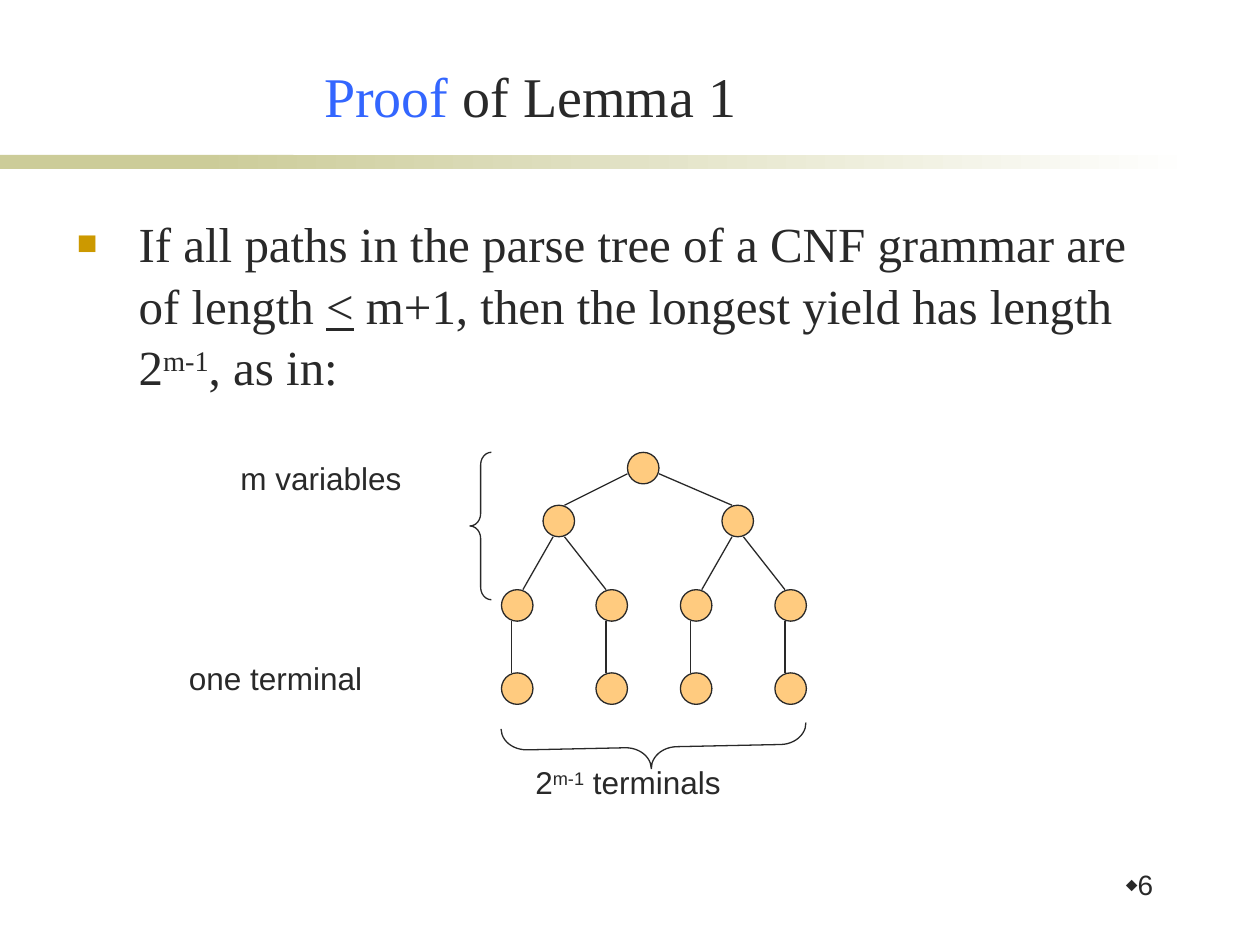
import pptx
import pptx.dml.color
import pptx.enum.dml
import pptx.enum.shapes
import pptx.enum.text
import pptx.oxml.ns
import pptx.util
from lxml import etree
from dataclasses import dataclass

Inches = pptx.util.Inches
Pt = pptx.util.Pt
SHAPES = pptx.enum.shapes.MSO_SHAPE
ALIGN = pptx.enum.text.PP_ALIGN
ANCHOR = pptx.enum.text.MSO_ANCHOR


@dataclass(frozen=True)
class Theme:
    ink: str = "292929"
    accent: str = "3366FF"
    band: str = "CCCC99"
    paper: str = "FFFFFF"
    bullet: str = "CC9900"
    node: str = "FF9900"
    node_opacity: int = 50
    serif: str = "Times New Roman"
    sans: str = "Arial"
    title_size: int = 32
    body_size: int = 28
    label_size: int = 18
    number_size: int = 16
    line_width: float = 0.75


def rgb(value):
    return pptx.dml.color.RGBColor.from_string(value)


def sub(parent, tag, **attributes):
    return etree.SubElement(parent, pptx.oxml.ns.qn(tag), attributes)


def write(paragraph, text, *, font, size, color, underline=None, superscript=False):
    run = paragraph.add_run()
    run.text = text
    run.font.name = font
    run.font.size = Pt(size)
    run.font.color.rgb = rgb(color)
    run.font.underline = underline
    if superscript:
        run.font._element.set("baseline", "30000")


def set_bullet(paragraph, char, color, percent, indent=0.0):
    """Give the paragraph a coloured bullet with a hanging indent in inches."""
    properties = paragraph._p.get_or_add_pPr()
    properties.set("marL", str(Inches(indent)))
    properties.set("indent", str(-Inches(indent)))
    sub(sub(properties, "a:buClr"), "a:srgbClr", val=color)
    sub(properties, "a:buSzPct", val=str(percent * 1000))
    sub(properties, "a:buFont", typeface="Arial")
    sub(properties, "a:buChar", char=char)


class SlideBuilder:
    def __init__(self, slide, theme):
        self.slide = slide
        self.theme = theme

    def place(self, placeholder, left, top, width, height, anchor):
        placeholder.left, placeholder.top = Inches(left), Inches(top)
        placeholder.width, placeholder.height = Inches(width), Inches(height)
        frame = placeholder.text_frame
        frame.auto_size = pptx.enum.text.MSO_AUTO_SIZE.NONE
        frame.word_wrap = True
        frame.vertical_anchor = anchor
        return frame.paragraphs[0]

    def title(self, *box):
        paragraph = self.place(self.slide.shapes.title, *box, ANCHOR.BOTTOM)
        paragraph.alignment = ALIGN.CENTER
        return paragraph

    def body(self, *box):
        paragraph = self.place(self.slide.placeholders[1], *box, ANCHOR.TOP)
        paragraph.space_before = Pt(0)
        paragraph.line_spacing = 1.05
        set_bullet(paragraph, "■", self.theme.bullet, 70, indent=0.49)
        return paragraph

    def text_box(self, *box):
        label = self.slide.shapes.add_textbox(*map(Inches, box))
        label.text_frame.word_wrap = True
        return label.text_frame.paragraphs[0]

    def shape(self, kind, *box):
        shape = self.slide.shapes.add_shape(kind, *map(Inches, box))
        shape.shadow.inherit = False
        return shape

    def outline(self, item):
        item.line.color.rgb = rgb(self.theme.ink)
        item.line.width = Pt(self.theme.line_width)

    def band(self, *box, fade_to=None):
        band = self.shape(SHAPES.RECTANGLE, *box)
        band.line.fill.background()
        if fade_to is None:
            band.fill.solid()
            band.fill.fore_color.rgb = rgb(self.theme.band)
            return
        band.fill.gradient()
        band.fill.gradient_angle = 0
        for stop, color in zip(band.fill.gradient_stops, (self.theme.band, fade_to)):
            stop.color.rgb = rgb(color)

    def node(self, left, top, size):
        node = self.shape(SHAPES.OVAL, left, top, size, size)
        node.fill.solid()
        node.fill.fore_color.rgb = rgb(self.theme.node)
        color = node._element.spPr.find(".//" + pptx.oxml.ns.qn("a:srgbClr"))
        sub(color, "a:alpha", val=str(self.theme.node_opacity * 1000))
        self.outline(node)

    def edge(self, start, end):
        edge = self.slide.shapes.add_connector(
            pptx.enum.shapes.MSO_CONNECTOR.STRAIGHT, *map(Inches, (*start, *end)))
        self.outline(edge)
        sub(edge._element.spPr, "a:effectLst")

    def brace(self, *box, curve, tip, rotation=0):
        brace = self.shape(SHAPES.LEFT_BRACE, *box)
        brace.adjustments[0], brace.adjustments[1] = curve, tip
        brace.rotation = rotation
        brace.fill.background()
        self.outline(brace)


def draw_tree(builder):
    size, near, far = 0.25, 0.08, 0.17
    root_y, inner_y, variable_y, terminal_y = 3.59, 4.01, 4.68, 5.34
    root_x = 4.98
    inner_xs = (4.31, 5.73)
    leaf_xs = (3.98, 4.73, 5.4, 6.15)

    levels = ((root_y, (root_x,)), (inner_y, inner_xs),
              (variable_y, leaf_xs), (terminal_y, leaf_xs))
    for top, lefts in levels:
        for left in lefts:
            builder.node(left, top, size)

    for side, inner_x in enumerate(inner_xs):
        builder.edge((root_x + side * size, root_y + far),
                     (inner_x + (far, near)[side], inner_y))
        for branch, leaf_x in enumerate(leaf_xs[2 * side:2 * side + 2]):
            builder.edge((inner_x + (near, far)[branch], inner_y + size),
                         (leaf_x + (far, near)[branch], variable_y))
    for leaf_x in leaf_xs:
        builder.edge((leaf_x + near, variable_y + size), (leaf_x + near, terminal_y))


def main():
    theme = Theme()
    deck = pptx.Presentation()
    deck.slide_width, deck.slide_height = Inches(10), Inches(7.5)
    builder = SlideBuilder(deck.slides.add_slide(deck.slide_layouts[1]), theme)

    builder.band(0, 1.23, 2.33, 0.11)
    builder.band(1.58, 1.23, 7.92, 0.11, fade_to=theme.paper)

    title_style = dict(font=theme.serif, size=theme.title_size)
    title = builder.title(1.14, 0.44, 6.14, 0.63)
    write(title, "Proof", color=theme.accent, **title_style)
    write(title, " of Lemma 1", color=theme.ink, **title_style)

    body_style = dict(font=theme.serif, size=theme.body_size, color=theme.ink)
    lemma = builder.body(0.51, 1.62, 8.9, 4.8)
    write(lemma, "If all paths in the parse tree of a CNF grammar are of length ", **body_style)
    write(lemma, "<", underline=True, **body_style)
    write(lemma, " m+1, then the longest yield has length 2", **body_style)
    write(lemma, "m-1", superscript=True, **body_style)
    write(lemma, ", as in:", **body_style)

    page = builder.text_box(8.23, 6.87, 1.02, 0.5)
    page.alignment = ALIGN.RIGHT
    page.line_spacing = 0.9
    page.space_before = Pt(3.2)
    set_bullet(page, "⬥", theme.ink, 60)
    write(page, "6", font=theme.sans, size=theme.number_size, color=theme.ink)

    draw_tree(builder)

    label_style = dict(font=theme.sans, size=theme.label_size, color=theme.ink)
    write(builder.text_box(1.81, 3.59, 1.88, 0.5), "m variables", **label_style)
    write(builder.text_box(1.4, 5.18, 2.05, 0.5), "one terminal", **label_style)
    terminals = builder.text_box(4.15, 6.01, 2.23, 0.5)
    write(terminals, "2", **label_style)
    write(terminals, "m-1", superscript=True, **label_style)
    write(terminals, " terminals", **label_style)

    builder.brace(3.73, 3.59, 0.17, 1.17, curve=0.58, tip=0.5)
    builder.brace(5.02, 4.72, 0.34, 2.42, curve=0.6, tip=0.49, rotation=268.8)

    deck.save("out.pptx")


if __name__ == "__main__":
    main()
